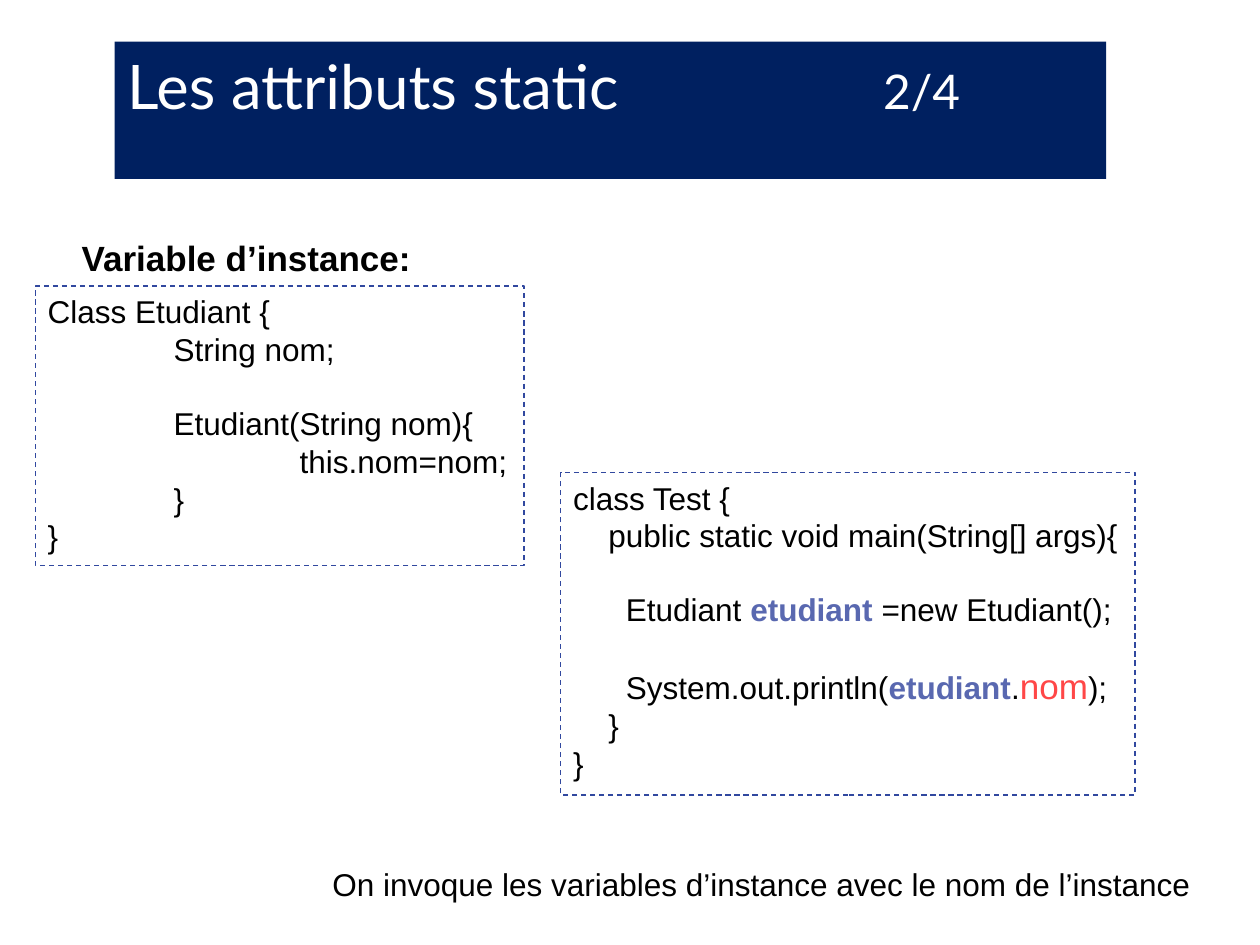
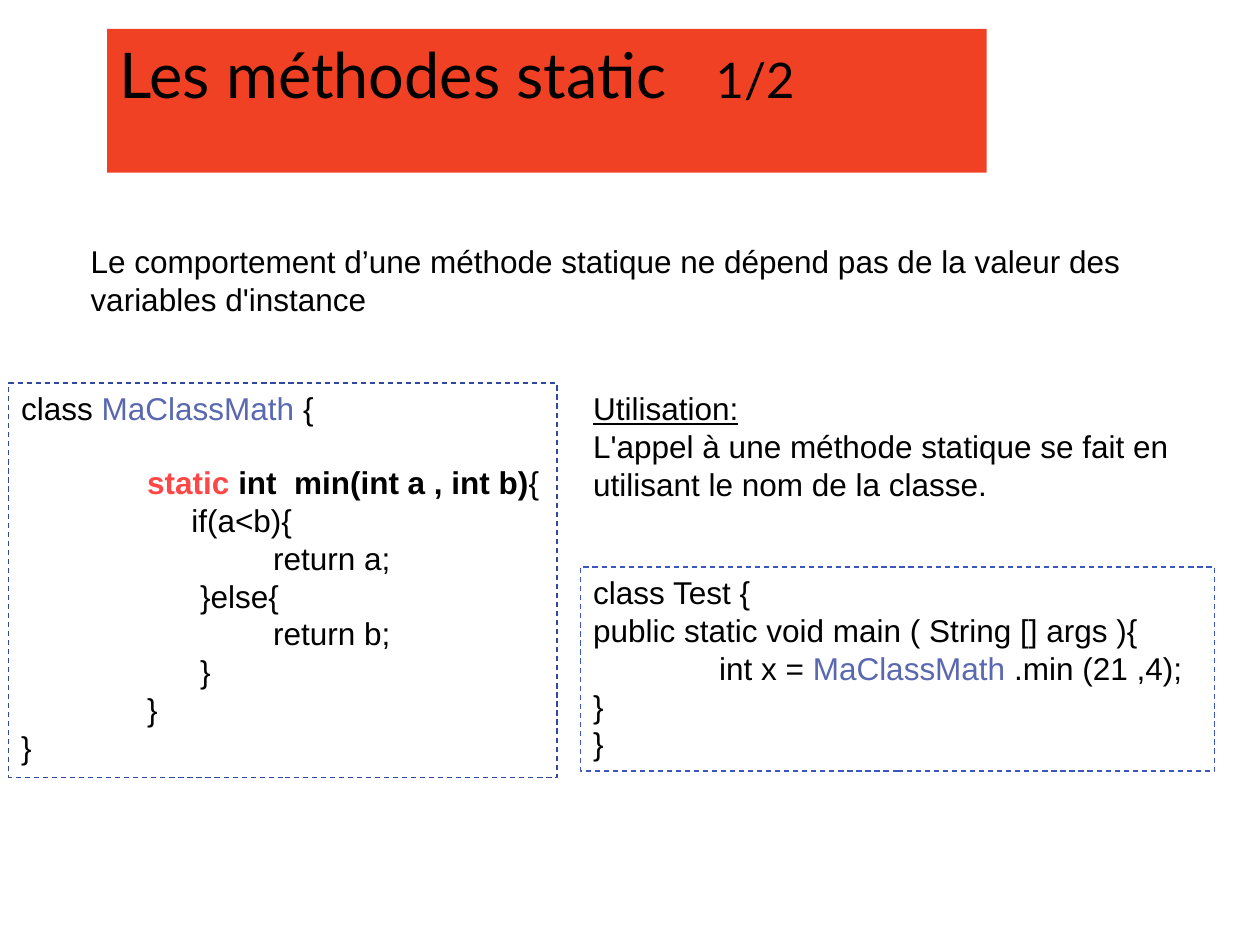
from pptx import Presentation
from pptx import util as u
from pptx.dml.color import RGBColor
from pptx.enum import dml, shapes, text
from pptx.oxml import parse_xml
from pptx.oxml.ns import nsdecls

HUES = {"black": "000000", "white": "FFFFFF", "navy": "002060", "red": "F14124",
        "edge": "31489F", "edge2": "3B56BF", "name": "5968B0", "key": "FF4747"}
GAP = 20.7  # height of one code line, in points


def tint(hue):
    return RGBColor.from_string(HUES[hue])


def write(frame, lines):
    """Each line is (indent, space before, runs); a run is (text, style)."""
    frame.word_wrap = True
    frame.vertical_anchor = text.MSO_ANCHOR.TOP
    for i, (indent, gap, runs) in enumerate(lines):
        par = frame.paragraphs[0] if i == 0 else frame.add_paragraph()
        par.alignment = text.PP_ALIGN.LEFT
        par.space_before = u.Pt(gap)
        if indent:
            par._p.get_or_add_pPr().set("marL", str(u.Inches(indent)))
        for words, style in runs:
            run = par.add_run()
            run.text = words
            font = run.font
            font.name = style.get("face", "Arial")
            font.size = u.Pt(style.get("size", 18))
            font.color.rgb = tint(style.get("hue", "black"))
            font.bold = style.get("bold", False)
            if style.get("under"):
                font.underline = True


# Run styles
plain = {}
bold = {"bold": True}
name = {"hue": "name"}
strong = {"hue": "name", "bold": True}

# Slide content
pages = [
    {
        "title": ("Les attributs static", "2/4"),
        "sizes": (35.1, 27.3), "fill": "navy", "ink": "white",
        "band": (0.91, 0.33, 7.87, 1.09), "tab": 6.0,
        "notes": [
            ((0.55, 1.83, 2.83, 0.44),
             [(0, 0, [("Variable d’instance:", {"size": 20, "bold": True})])]),
            ((1.54, 6.82, 8.67, 0.4),
             [(1, 0, [("On invoque les variables d’instance avec le nom de l’instance", plain)])]),
        ],
        "codes": [
            ((0.28, 2.27, 3.88, 2.22), "edge", [
                (0, 0, [("Class Etudiant {", plain)]),
                (1, 0, [("String nom;", plain)]),
                (1, GAP, [("Etudiant(String nom){", plain)]),
                (2, 0, [("this.nom=nom;", plain)]),
                (1, 0, [("}", plain)]),
                (0, 0, [("}", plain)]),
            ]),
            ((4.45, 3.75, 4.56, 2.56), "edge", [
                (0, 0, [("class Test {", plain)]),
                (0.28, 0, [("public static void main(String[] args){", plain)]),
                (0.42, GAP, [("Etudiant ", plain), ("etudiant", strong),
                             (" =new Etudiant();", plain)]),
                (0.42, GAP, [("System.out.println(", plain), ("etudiant", strong),
                             (".", plain), ("nom", {"size": 20, "hue": "key"}),
                             (");", plain)]),
                (0.28, 0, [("}", plain)]),
                (0, 0, [("}", plain)]),
            ]),
        ],
    },
    {
        "title": ("Les méthodes static", "1/2"),
        "sizes": (36, 28), "fill": "red", "ink": "black",
        "band": (0.85, 0.23, 6.98, 1.14), "tab": 4.73,
        "notes": [
            ((0.62, 1.87, 8.52, 0.71),
             [(0, 0, [("Le comportement d’une méthode statique ne dépend pas de la "
                       "valeur des variables d'instance", plain)])]),
            ((4.61, 3.04, 5, 1.01), [
                (0, 0, [("Utilisation:", {"under": True})]),
                (0, 0, [("L'appel à une méthode statique se fait en", plain)]),
                (0, 0, [("utilisant le nom de la classe.", plain)]),
            ]),
        ],
        "codes": [
            ((0.07, 3.04, 4.35, 3.13), "edge", [
                (0, 0, [("class ", plain), ("MaClassMath", name), (" {", plain)]),
                (1, GAP, [("static ", {"hue": "key", "bold": True}),
                          ("int  min(int a , int b)", bold), ("{", plain)]),
                (1.35, 0, [("if(a<b){", plain)]),
                (2, 0, [("return a;", plain)]),
                (1.42, 0, [("}else{", plain)]),
                (2, 0, [("return b;", plain)]),
                (1.42, 0, [("}", plain)]),
                (1, 0, [("}", plain)]),
                (0, 0, [("}", plain)]),
            ]),
            ((4.61, 4.5, 5.03, 1.62), "edge2", [
                (0, 0, [("class Test {", plain)]),
                (0, 0, [("public static void main ( String [] args ){", plain)]),
                (1, 0, [("int x = ", plain), ("MaClassMath ", name),
                        (".min (21 ,4);", plain)]),
                (0, 0, [("}", plain)]),
                (0, 0, [("}", plain)]),
            ]),
        ],
    },
]

deck = Presentation()
deck.slide_width, deck.slide_height = u.Inches(10), u.Inches(7.5)

for page in pages:
    slide = deck.slides.add_slide(deck.slide_layouts[5])

    # Title band, with the page count at a tab stop
    band = slide.shapes.title
    band.left, band.top, band.width, band.height = map(u.Inches, page["band"])
    band.fill.solid()
    band.fill.fore_color.rgb = tint(page["fill"])
    band.text_frame.auto_size = text.MSO_AUTO_SIZE.NONE
    head, count = page["title"]
    big, small = [{"face": "Lato", "size": s, "hue": page["ink"]} for s in page["sizes"]]
    write(band.text_frame, [(0, 0, [(head + "\t", big), (count, small)])])
    stop = u.Inches(page["tab"])
    band.text_frame.paragraphs[0]._p.get_or_add_pPr().append(parse_xml(
        f'<a:tabLst {nsdecls("a")}><a:tab pos="{stop}" algn="l"/></a:tabLst>'))

    # Plain remarks
    for place, lines in page["notes"]:
        note = slide.shapes.add_textbox(*map(u.Inches, place))
        write(note.text_frame, lines)

    # Code in dashed frames
    for place, edge, lines in page["codes"]:
        code = slide.shapes.add_shape(shapes.MSO_SHAPE.RECTANGLE, *map(u.Inches, place))
        code.shadow.inherit = False
        code.fill.background()
        code.line.color.rgb = tint(edge)
        code.line.width = u.Pt(0.75)
        code.line.dash_style = dml.MSO_LINE.DASH
        write(code.text_frame, lines)

deck.save("out.pptx")
